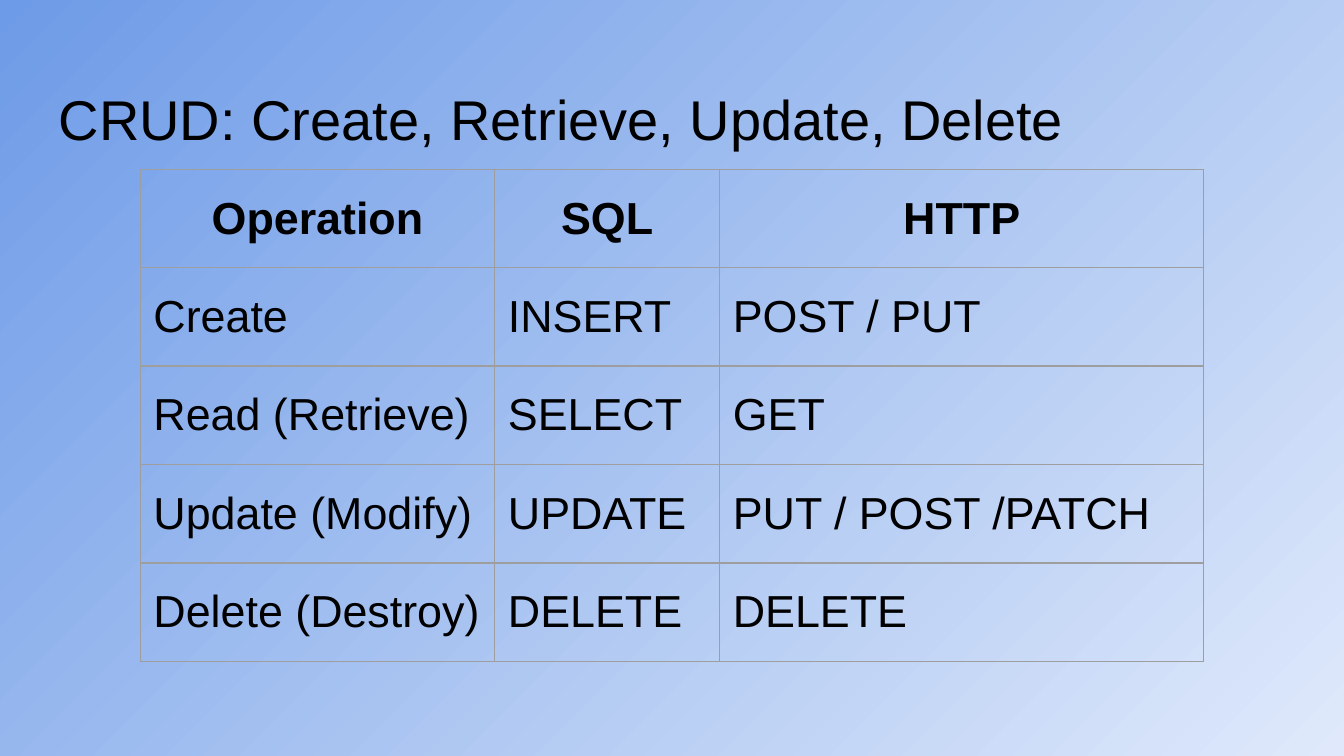
from lxml import etree
from pptx import Presentation
from pptx.dml.color import RGBColor
from pptx.enum.text import MSO_ANCHOR as Anchor, MSO_AUTO_SIZE as AutoSize, PP_ALIGN as Align
from pptx.oxml.ns import qn
from pptx.util import Cm, Pt

TITLE = "CRUD: Create, Retrieve, Update, Delete"
OPERATIONS = [
    ("Operation", "SQL", "HTTP"),
    ("Create", "INSERT", "POST / PUT"),
    ("Read (Retrieve)", "SELECT", "GET"),
    ("Update (Modify)", "UPDATE", "PUT / POST /PATCH"),
    ("Delete (Destroy)", "DELETE", "DELETE"),
]
COLUMN_WIDTHS = [6.7, 4.25, 9.15]
ROW_HEIGHT = 1.86
INSET = Cm(0.25)
COLORS = {"text": "000000", "border": "9E9E9E", "light": "DFE9FB", "dark": "6E9BE7"}


def rgb(name):
    return RGBColor.from_string(COLORS[name])


def format_text(paragraph, size, bold, align):
    paragraph.alignment = align
    for run in paragraph.runs:
        font = run.font
        font.name, font.size, font.bold = "Arial", Pt(size), bold
        font.color.rgb = rgb("text")


def set_insets(box):
    box.margin_left = box.margin_right = box.margin_top = box.margin_bottom = INSET


def add_borders(cell):
    properties = cell._tc.get_or_add_tcPr()
    for position, side in enumerate(("a:lnL", "a:lnR", "a:lnT", "a:lnB")):
        line = etree.Element(qn(side), w=str(Pt(0.75)))
        fill = etree.SubElement(line, qn("a:solidFill"))
        etree.SubElement(fill, qn("a:srgbClr"), val=COLORS["border"])
        properties.insert(position, line)


def paint_background(slide):
    fill = slide.background.fill
    fill.gradient()
    fill.gradient_angle = 135
    for stop, name in zip(fill.gradient_stops, ("light", "dark")):
        stop.color.rgb = rgb(name)
    fill.gradient_stops[0].position = 0
    fill.gradient_stops[1].position = 1


def add_title(slide):
    title = slide.shapes.title
    title.left, title.top, title.width, title.height = Cm(0.86), Cm(1.25), Cm(23.67), Cm(1.6)
    frame = title.text_frame
    frame.text = TITLE
    frame.auto_size = AutoSize.NONE
    frame.vertical_anchor = Anchor.TOP
    set_insets(frame)
    frame.margin_top = Cm(0.34)
    format_text(frame.paragraphs[0], 30, False, Align.LEFT)


def add_operations_table(slide):
    table = slide.shapes.add_table(
        len(OPERATIONS), len(COLUMN_WIDTHS), Cm(2.65), Cm(3.2),
        Cm(sum(COLUMN_WIDTHS)), Cm(ROW_HEIGHT * len(OPERATIONS))).table
    table.first_row = table.horz_banding = False
    for column, width in zip(table.columns, COLUMN_WIDTHS):
        column.width = Cm(width)
    for r, operation in enumerate(OPERATIONS):
        table.rows[r].height = Cm(ROW_HEIGHT)
        is_header = r == 0
        for c, label in enumerate(operation):
            cell = table.cell(r, c)
            cell.text_frame.text = label
            cell.vertical_anchor = Anchor.MIDDLE
            set_insets(cell)
            cell.fill.background()
            add_borders(cell)
            format_text(cell.text_frame.paragraphs[0], 24, is_header,
                        Align.CENTER if is_header else Align.LEFT)


def main():
    deck = Presentation()
    deck.slide_width, deck.slide_height = Cm(25.4), Cm(14.29)
    slide = deck.slides.add_slide(deck.slide_layouts[5])
    paint_background(slide)
    add_title(slide)
    add_operations_table(slide)
    deck.save("out.pptx")


if __name__ == "__main__":
    main()
